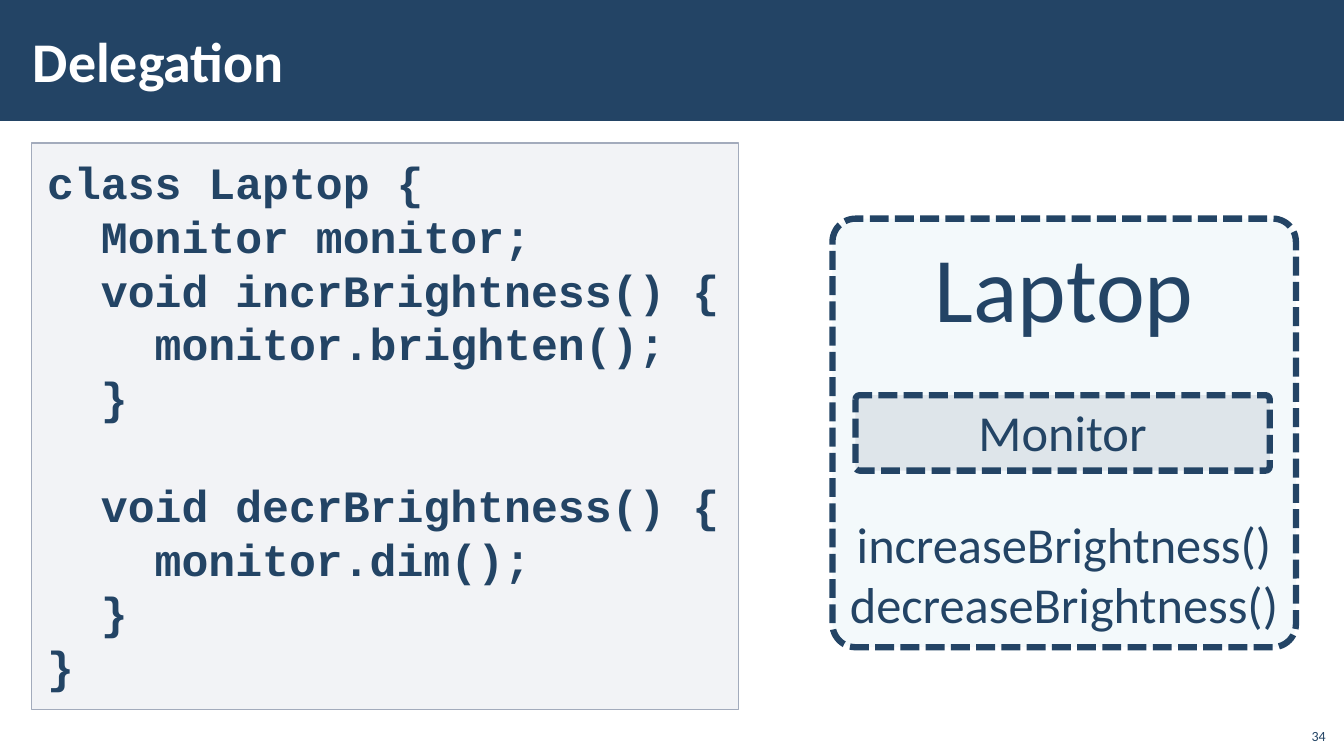
from lxml import etree
from pptx import Presentation
from pptx.dml.color import RGBColor
from pptx.enum.dml import MSO_LINE
from pptx.enum.shapes import MSO_SHAPE
from pptx.enum.text import MSO_ANCHOR, PP_ALIGN
from pptx.oxml.ns import qn
from pptx.util import Cm, Pt

NAVY = RGBColor(0x23, 0x44, 0x65)
WHITE = RGBColor(0xFF, 0xFF, 0xFF)
CODE_FILL = RGBColor(0xC2, 0xC7, 0xD2)
CODE_BORDER = RGBColor(0xA3, 0xAB, 0xBC)
LAPTOP_FILL = RGBColor(0xB5, 0xDB, 0xE5)
MONITOR_FILL = RGBColor(0x67, 0x74, 0x8E)
RECTANGLE, ROUNDED = MSO_SHAPE.RECTANGLE, MSO_SHAPE.ROUNDED_RECTANGLE
TOP, MIDDLE, BOTTOM = MSO_ANCHOR.TOP, MSO_ANCHOR.MIDDLE, MSO_ANCHOR.BOTTOM
LEFT, CENTER, RIGHT = PP_ALIGN.LEFT, PP_ALIGN.CENTER, PP_ALIGN.RIGHT
DASH = MSO_LINE.SQUARE_DOT  # stored as sysDash

CODE = """class Laptop {
  Monitor monitor;
  void incrBrightness() {
    monitor.brighten();
  }

  void decrBrightness() {
    monitor.dim();
  }
}"""


def add_panel(kind, place, color, opacity=100):
    """Add a filled shape without shadow; opacity is in percent."""
    panel = slide.shapes.add_shape(kind, *map(Cm, place))
    panel.shadow.inherit = False
    panel.fill.solid()
    panel.fill.fore_color.rgb = color
    panel.line.fill.background()
    if opacity < 100:
        color_node = panel.fill._xPr.find(".//" + qn("a:srgbClr"))
        etree.SubElement(color_node, qn("a:alpha"), val=str(opacity * 1000))
    return panel


def write_lines(box, lines, align, anchor=TOP, font="Calibri", color=NAVY, bold=False):
    """Write (text, size, space before) lines, one paragraph each."""
    frame = box.text_frame
    frame.word_wrap = True
    frame.vertical_anchor = anchor
    for index, (text, size, gap) in enumerate(lines):
        para = frame.add_paragraph() if index else frame.paragraphs[0]
        para.text = text
        para.alignment = align
        if gap:
            para.space_before = Pt(gap)
        para.font.name = font
        para.font.size = Pt(size)
        para.font.bold = bold
        para.font.color.rgb = color
    return frame


deck = Presentation()
deck.slide_width, deck.slide_height = Cm(33.87), Cm(19.05)
slide = deck.slides.add_slide(deck.slide_layouts[6])

# Title bar
add_panel(RECTANGLE, (0, 0, 33.87, 3.05), NAVY)
title = slide.shapes.add_textbox(Cm(0.53), Cm(0.28), Cm(27), Cm(2.46))
frame = write_lines(title, [("Delegation", 40, 0)], LEFT, MIDDLE, color=WHITE, bold=True)
frame.margin_left = frame.margin_right = Cm(0.3)

# Code listing: an empty source line becomes space before the next one
code_lines = []
gap = 0
for text in CODE.splitlines():
    if text:
        code_lines.append((text, 32, gap))
    gap = 0 if text else 38.5
listing = add_panel(RECTANGLE, (0.79, 3.6, 17.83, 14.28), CODE_FILL, 20)
listing.line.color.rgb = CODE_BORDER
listing.line.width = Pt(1)
frame = write_lines(listing, code_lines, LEFT, font="Courier New", bold=True)
frame.margin_left = frame.margin_right = Cm(0.4)
frame.margin_top = frame.margin_bottom = Cm(0.3)

# Laptop with its monitor inside
laptop_lines = [
    ("Laptop", 66, 0),
    ("increaseBrightness()", 36, 122.5),
    ("decreaseBrightness()", 36, 0),
]
for place, color, lines in (
    ((20.98, 5.51, 11.68, 10.8), LAPTOP_FILL, laptop_lines),
    ((21.56, 9.96, 10.44, 1.9), MONITOR_FILL, [("Monitor", 36, 0)]),
):
    part = add_panel(ROUNDED, place, color, 15)
    part.adjustments[0] = 0.054
    part.line.color.rgb = NAVY
    part.line.width = Pt(4.5)
    part.line.dash_style = DASH
    write_lines(part, lines, CENTER)

# Slide number
number = slide.shapes.add_textbox(Cm(32.64), Cm(18.08), Cm(1.02), Cm(0.81))
write_lines(number, [("34", 10, 0)], RIGHT, BOTTOM)

deck.save("out.pptx")
